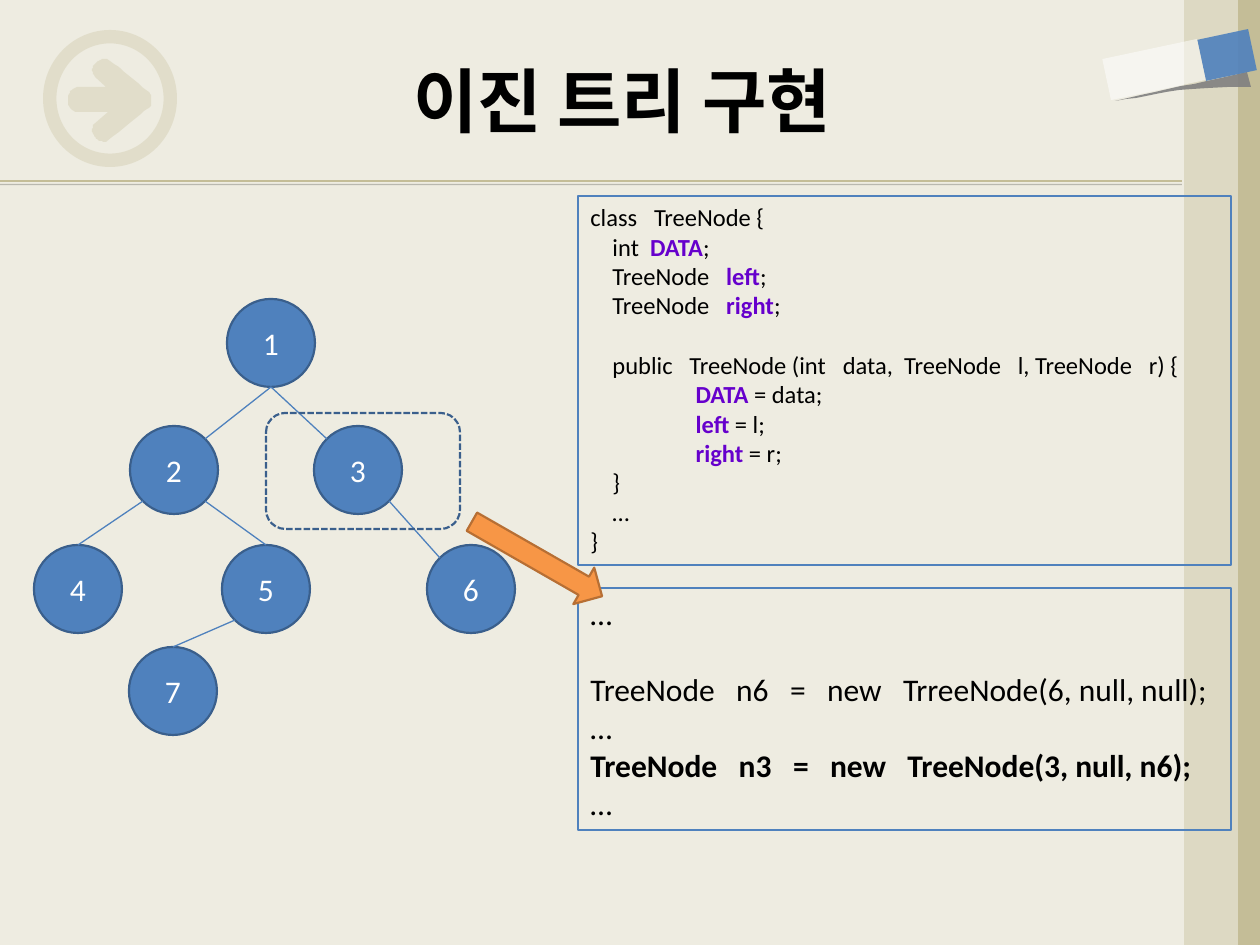
import itertools
import math

import pptx
import pptx.dml.color
import pptx.enum.dml
import pptx.enum.shapes
import pptx.enum.text
import pptx.oxml
import pptx.oxml.ns
import pptx.util

SCALE = 914400 / 126
SHAPE = pptx.enum.shapes.MSO_SHAPE
ALIGN = pptx.enum.text.PP_ALIGN
ANCHOR = pptx.enum.text.MSO_ANCHOR
COLORS = {
    "paper": "EEECE1", "tan": "C4BD97", "sand": "DDD9C3", "blue": "4F81BD",
    "navy": "3A5F8C", "orange": "F79646", "rust": "B76F34", "grey": "808080",
    "white": "FFFFFF", "black": "000000", "purple": "6600CC",
}
NS = 'xmlns:a="http://schemas.openxmlformats.org/drawingml/2006/main"'
SPACE_EM = 0.226
LINE_EM = 1.22
EXTRA_SPACES = {"^": 1, "~": 2}

RADIUS = 44
NODES = {1: (271, 343), 2: (174, 470), 3: (358, 470), 4: (78, 589),
         5: (266, 589), 6: (471, 589), 7: (173, 691)}
UP, DOWN, UP_LEFT, UP_RIGHT, DOWN_LEFT, DOWN_RIGHT = 270, 90, 225, 315, 135, 45
EDGES = [(1, DOWN, 2, UP_RIGHT), (1, DOWN, 3, UP_LEFT),
         (3, DOWN_RIGHT, 6, UP_LEFT), (2, DOWN_RIGHT, 5, UP),
         (2, DOWN_LEFT, 4, UP), (5, DOWN_LEFT, 7, UP)]

CLASS_CODE = [
    (0, 0, "class~TreeNode {"),
    (4, 0, "int^*DATA*;"),
    (4, 0, "TreeNode~*left*;"),
    (4, 0, "TreeNode~*right*;"),
    (4, 1, "public~TreeNode (int~data,^TreeNode~l, TreeNode~r) {"),
    (19, 0, "*DATA* = data;"),
    (19, 0, "*left* = l;"),
    (19, 0, "*right* = r;"),
    (4, 0, "}"),
    (4, 0, "…"),
    (0, 0, "}"),
]
USAGE_CODE = [
    (0, 0, "…"),
    (0, 1, "TreeNode~n6~=~new~TrreeNode(6, null, null);"),
    (0, 0, "…"),
    (0, 0, "*TreeNode~n3~=~new~TreeNode(3, null, n6);*"),
    (0, 0, "…"),
]
ARROW_ICON = [
    (149, 92), (141, 86, 116, 64, 107, 59), (102, 58, 100, 60, 96, 63),
    (92, 66, 91, 72, 95, 77), (106, 87), (77, 87), (69, 89, 68, 96, 68, 100),
    (67, 105, 71, 111, 77, 112), (108, 112), (93, 125),
    (92, 129, 92, 135, 95, 137), (97, 140, 101, 142, 106, 142),
    (127, 125, 150, 107, 150, 107), (152, 103, 151, 102, 151, 100),
    (151, 97, 151, 95, 149, 92),
]
TAPE_SHADOW = [(1247, 72), (1251, 87), (1169, 86, 1153, 96, 1115, 101),
               (1159, 91, 1203, 82, 1247, 72)]


def px(n):
    return round(n * SCALE)


def rgb(name):
    return pptx.dml.color.RGBColor.from_string(COLORS[name])


def apply(obj, values):
    for name, value in values.items():
        setattr(obj, name, value)


def paint(sp, fill=None, alpha=100, line=None, width=0.75):
    sp.shadow.inherit = False
    if fill:
        sp.fill.solid()
        sp.fill.fore_color.rgb = rgb(fill)
        if alpha < 100:
            color = sp.fill._xPr.find(".//" + pptx.oxml.ns.qn("a:srgbClr"))
            color.append(pptx.oxml.parse_xml(f'<a:alpha {NS} val="{alpha * 1000}"/>'))
    else:
        sp.fill.background()
    if line:
        sp.line.color.rgb = rgb(line)
        sp.line.width = pptx.util.Pt(width)
    else:
        sp.line.fill.background()


def add_preset(slide, kind, box, rotation=0, **style):
    sp = slide.shapes.add_shape(kind, *map(px, box))
    sp.rotation = rotation
    paint(sp, **style)
    return sp


def add_line(slide, start, end, color, effects=""):
    line = slide.shapes.add_connector(
        pptx.enum.shapes.MSO_CONNECTOR.STRAIGHT, *map(px, (*start, *end)))
    line.line.color.rgb = rgb(color)
    line.line.width = pptx.util.Pt(0.75)
    line._element.spPr.append(
        pptx.oxml.parse_xml(f"<a:effectLst {NS}>{effects}</a:effectLst>"))


def curve_points(start, curve, steps=10):
    knots = [start, curve[:2], curve[2:4], curve[4:]]
    for i in range(1, steps + 1):
        t = i / steps
        weights = [math.comb(3, k) * t ** k * (1 - t) ** (3 - k) for k in range(4)]
        yield tuple(sum(w * knot[axis] for w, knot in zip(weights, knots))
                    for axis in (0, 1))


def add_outline(slide, path, **style):
    points = [path[0]]
    for step in path[1:]:
        points.extend([step] if len(step) == 2 else curve_points(points[-1], step))
    builder = slide.shapes.build_freeform(*points[0], scale=SCALE)
    builder.add_line_segments(points[1:], close=True)
    paint(builder.convert_to_shape(), **style)


def add_run(p, text, size, color="black", bold=False):
    r = p.add_run()
    r.text = text
    apply(r.font, {"name": "Calibri", "size": pptx.util.Pt(size), "bold": bold})
    r.font.color.rgb = rgb(color)
    return r


def add_label(sp, text, size, **style):
    tf = sp.text_frame
    apply(tf, {"word_wrap": True, "vertical_anchor": ANCHOR.MIDDLE})
    p = tf.paragraphs[0]
    p.alignment = ALIGN.CENTER
    add_run(p, text, size, **style)


def add_code(slide, box, lines, size, strong):
    sp = add_preset(slide, SHAPE.RECTANGLE, box, line="blue")
    tf = sp.text_frame
    apply(tf, {"word_wrap": True, "vertical_anchor": ANCHOR.TOP})
    for i, (indent, skipped, text) in enumerate(lines):
        p = tf.add_paragraph() if i else tf.paragraphs[0]
        apply(p, {"alignment": ALIGN.LEFT,
                  "space_before": pptx.util.Pt(skipped * size * LINE_EM)})
        margin = pptx.util.Pt(indent * SPACE_EM * size)
        p._p.get_or_add_pPr().set("marL", str(margin))
        for n, part in enumerate(text.split("*")):
            style = {"color": strong, "bold": True} if n % 2 else {}
            for gap, chars in itertools.groupby(part, lambda c: EXTRA_SPACES.get(c, 0)):
                r = add_run(p, " " if gap else "".join(chars), size, **style)
                if gap:
                    r.font._element.set("spc", str(round(gap * SPACE_EM * size * 100)))


def add_background(slide):
    slide.background.fill.solid()
    slide.background.fill.fore_color.rgb = rgb("paper")
    add_line(slide, (0, 181), (1182, 181), "tan",
             '<a:outerShdw blurRad="0" dist="25400" dir="5400000">'
             '<a:srgbClr val="000000"><a:alpha val="22000"/></a:srgbClr></a:outerShdw>')
    add_outline(slide, ARROW_ICON, fill="tan", alpha=30)
    ring = add_preset(slide, SHAPE.DONUT, (43, 30, 134, 137), fill="tan", alpha=30)
    ring.adjustments[0] = 0.1
    add_preset(slide, SHAPE.RECTANGLE, (1186, 0, 74, 945), fill="tan")
    add_preset(slide, SHAPE.RECTANGLE, (1184, 0, 54, 945), fill="sand")
    add_outline(slide, TAPE_SHADOW, fill="grey", alpha=90)
    add_preset(slide, SHAPE.RECTANGLE, (1206, 29, 42, 52), 78, fill="blue", alpha=90)
    add_preset(slide, SHAPE.RECTANGLE, (1133, 21, 42, 97), 78, fill="white", alpha=50)


def rim(node, angle):
    x, y = NODES[node]
    a = math.radians(angle)
    return x + RADIUS * math.cos(a), y + RADIUS * math.sin(a)


def add_tree(slide):
    for node, (x, y) in NODES.items():
        box = (x - RADIUS, y - RADIUS, 2 * RADIUS, 2 * RADIUS)
        sp = add_preset(slide, SHAPE.OVAL, box, fill="blue", line="navy", width=1.25)
        add_label(sp, str(node), 18, color="white")
    for parent, leave, child, arrive in EDGES:
        add_line(slide, rim(parent, leave), rim(child, arrive), "blue")
    focus = add_preset(slide, SHAPE.ROUNDED_RECTANGLE, (266, 413, 194, 116),
                       line="navy", width=1.25)
    focus.line.dash_style = pptx.enum.dml.MSO_LINE.SQUARE_DOT


def main():
    prs = pptx.Presentation()
    apply(prs, {"slide_width": px(1260), "slide_height": px(945)})
    slide = prs.slides.add_slide(prs.slide_layouts[6])
    add_background(slide)
    title = slide.shapes.add_textbox(*map(px, (63, 21, 1134, 158)))
    add_label(title, "이진 트리 구현 ", 40, bold=True)
    add_tree(slide)
    add_code(slide, (578, 588, 653, 242), USAGE_CODE, 18, "black")
    add_preset(slide, SHAPE.RIGHT_ARROW, (462, 538, 150, 42), 29.8,
               fill="orange", line="rust", width=1.25)
    add_code(slide, (578, 196, 653, 369), CLASS_CODE, 14, "purple")
    prs.save("out.pptx")


main()
